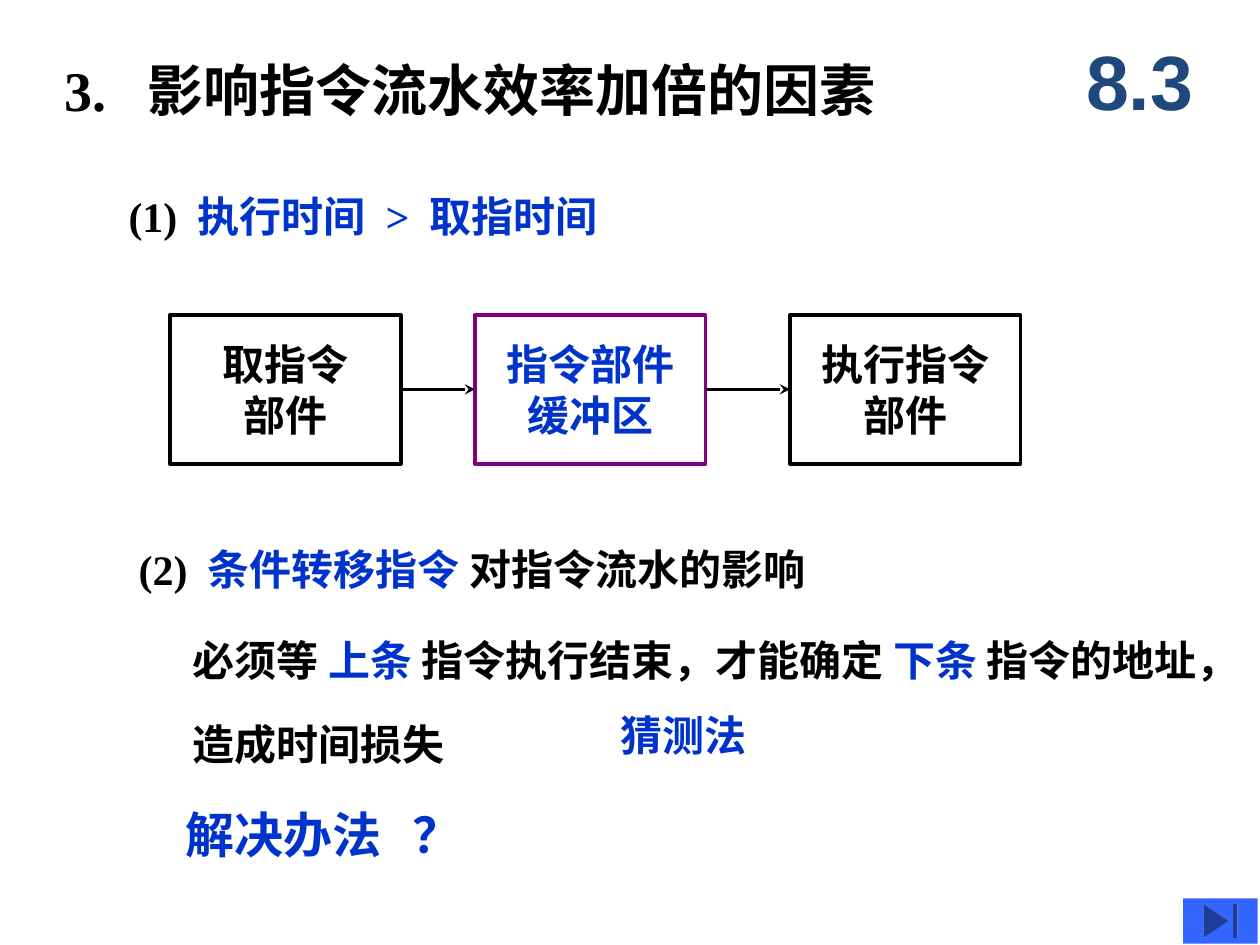
from pptx import Presentation
from pptx.dml.color import RGBColor
from pptx.enum.shapes import MSO_CONNECTOR, MSO_SHAPE
from pptx.enum.text import MSO_ANCHOR, PP_ALIGN
from pptx.oxml.ns import qn
from pptx.util import Inches, Pt
from lxml.etree import SubElement

# Square grid: ten columns across, seven and a half rows down.
COLUMNS, ROWS = 10, 7.5
UNIT = Inches(1)
BLACK, BLUE, PURPLE, NAVY, BUTTON = "000000", "0033CC", "800080", "1F497D", "3366FF"
SERIF, SANS = "Times New Roman", "Arial"


def grid(*lengths):
    return [round(length * UNIT) for length in lengths]


def color(hex_string):
    return RGBColor.from_string(hex_string)


def write(frame, lines, size=24, font=SERIF, align=PP_ALIGN.LEFT, spacing=None,
          anchor=MSO_ANCHOR.MIDDLE, insets=(0, 0.05), tabs=()):
    """Fill a frame with lines, each a list of (text, color) runs."""
    frame.word_wrap = True
    frame.vertical_anchor = anchor
    frame.margin_left, frame.margin_top = grid(*insets)
    frame.margin_right, frame.margin_bottom = grid(0, insets[1])
    for index, runs in enumerate(lines):
        paragraph = frame.add_paragraph() if index else frame.paragraphs[0]
        paragraph.alignment = align
        if spacing:
            paragraph.line_spacing = spacing
        if tabs:
            tab_list = SubElement(paragraph._p.get_or_add_pPr(), qn("a:tabLst"))
            for position in grid(*tabs):
                SubElement(tab_list, qn("a:tab"), pos=str(position), algn="l")
        for text, ink in runs:
            run = paragraph.add_run()
            run.text = text
            run.font.name, run.font.size, run.font.bold = font, Pt(size), True
            run.font.color.rgb = color(ink)


def add_text(slide, box, lines, **style):
    write(slide.shapes.add_textbox(*grid(*box)).text_frame, lines, **style)


def add_heading(slide, box):
    left, top, width, height = box
    add_text(slide, (left, top, 6.92, height),
             [[("3.\t影响指令流水效率加倍的因素", BLACK)]], size=32, tabs=[0.66])
    add_text(slide, (left + width - 1.25, 0.17, 1.25, 0.92), [[("8.3", NAVY)]],
             size=44, font=SANS, align=PP_ALIGN.CENTER)


def add_unit(slide, box, lines, ink, outline):
    unit = slide.shapes.add_shape(MSO_SHAPE.RECTANGLE, *grid(*box))
    unit.shadow.inherit = False
    unit.fill.background()
    unit.line.color.rgb = color(outline)
    unit.line.width = Pt(2.25)
    write(unit.text_frame, [[(line, ink)] for line in lines], align=PP_ALIGN.CENTER)
    return unit


def add_arrow(slide, source, target):
    arrow = slide.shapes.add_connector(MSO_CONNECTOR.STRAIGHT, 0, 0, 0, 0)
    arrow.begin_connect(source, 3)
    arrow.end_connect(target, 1)
    arrow.line.color.rgb = color(BLACK)
    arrow.line.width = Pt(1.5)
    SubElement(arrow.line._get_or_add_ln(), qn("a:tailEnd"), type="stealth")
    SubElement(arrow._element.spPr, qn("a:effectLst"))


def add_pipeline(slide, box):
    left, top, _, height = box
    stages = [
        (0, ["取指令", "部件"], BLACK, BLACK),
        (2.42, ["指令部件", "缓冲区"], BLUE, PURPLE),
        (4.92, ["执行指令", "部件"], BLACK, BLACK),
    ]
    units = [add_unit(slide, (left + offset, top, 1.83, height), lines, ink, outline)
             for offset, lines, ink, outline in stages]
    for source, target in zip(units, units[1:]):
        add_arrow(slide, source, target)


def add_timing_factor(slide, box):
    add_text(slide, box, [[("(1)\t", BLACK), ("执行时间\t>\t取指时间", BLUE)]],
             tabs=[0.55, 2.04, 2.39])


def add_branch_factor(slide, box):
    left, top, width, _ = box
    add_text(slide, (left, top, 7, 0.75),
             [[("(2)\t", BLACK), ("条件转移指令 ", BLUE), ("对指令流水的影响", BLACK)]],
             anchor=MSO_ANCHOR.TOP, insets=(0.08, 0), tabs=[0.55])
    add_text(slide, (left + 0.33, top + 0.42, width, 1.42),
             [[("必须等 ", BLACK), ("上条 ", BLUE), ("指令执行结束，才能确定 ", BLACK),
               ("下条 ", BLUE), ("指令的地址，", BLACK)],
              [("造成时间损失", BLACK)]],
             spacing=1.65, anchor=MSO_ANCHOR.TOP, insets=(0.18, 0.05))
    add_text(slide, (left + 3.81, top + 1.27, 4.33, 0.5), [[("猜测法", BLUE)]],
             anchor=MSO_ANCHOR.TOP, insets=(0.1, 0.05))
    add_text(slide, (left, top + 2.02, 7.08, 0.58), [[("解决办法\t？", BLUE)]],
             size=28, insets=(0.45, 0.05), tabs=[1.8])


def add_end_button(slide, box):
    button = slide.shapes.add_shape(MSO_SHAPE.ACTION_BUTTON_END, *grid(*box))
    button.shadow.inherit = False
    button.fill.solid()
    button.fill.fore_color.rgb = color(BUTTON)
    button.line.fill.background()


def main():
    presentation = Presentation()
    presentation.slide_width, presentation.slide_height = grid(COLUMNS, ROWS)
    slide = presentation.slides.add_slide(presentation.slide_layouts[6])
    add_heading(slide, (0.51, 0.42, 9.16, 0.58))
    add_timing_factor(slide, (1.02, 1.42, 5.12, 0.58))
    add_pipeline(slide, (1.35, 2.5, 6.75, 1.18))
    add_branch_factor(slide, (1.02, 4.31, 9.1, 2.6))
    add_end_button(slide, (9.39, 7.13, 0.59, 0.36))
    presentation.save("out.pptx")


if __name__ == "__main__":
    main()
